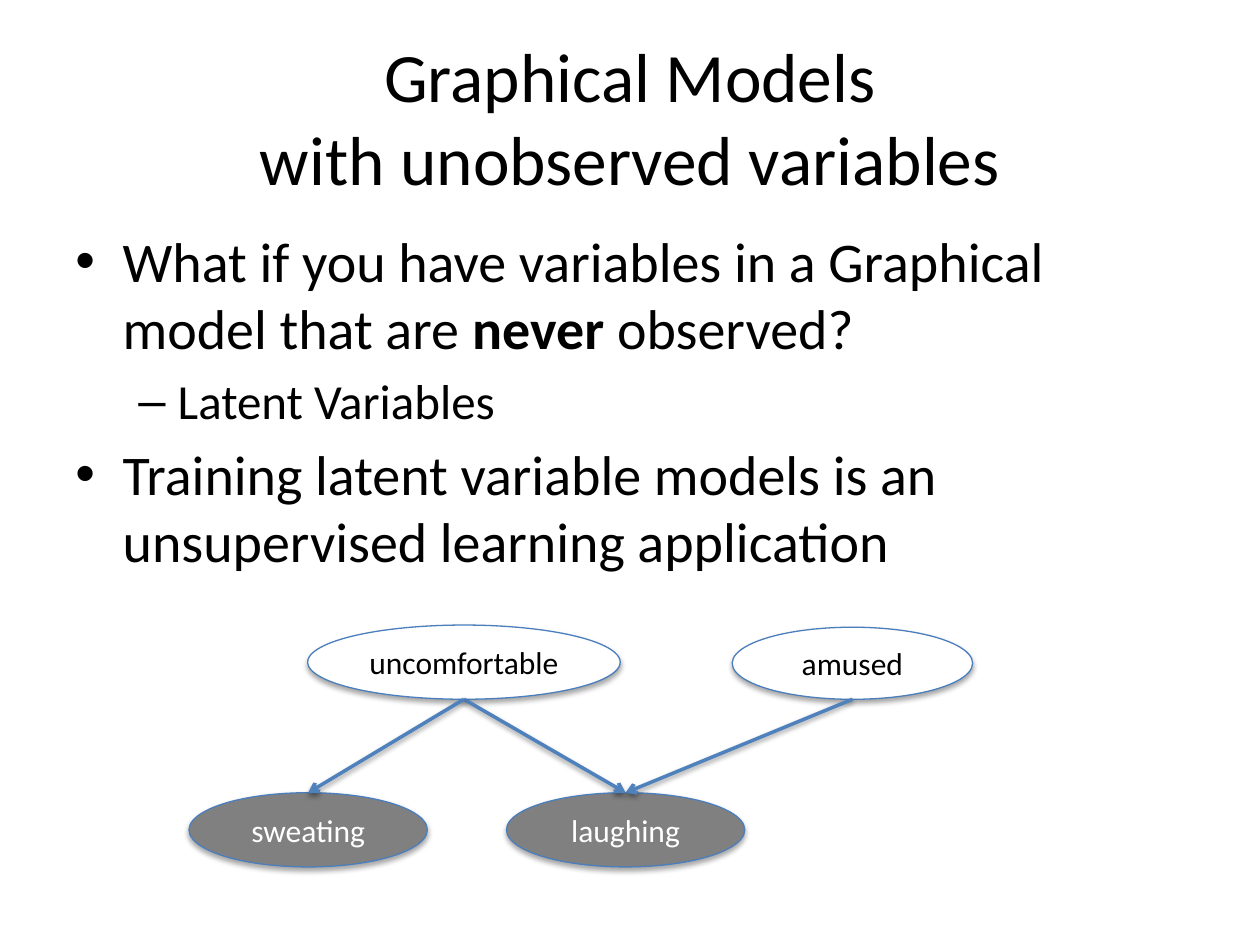
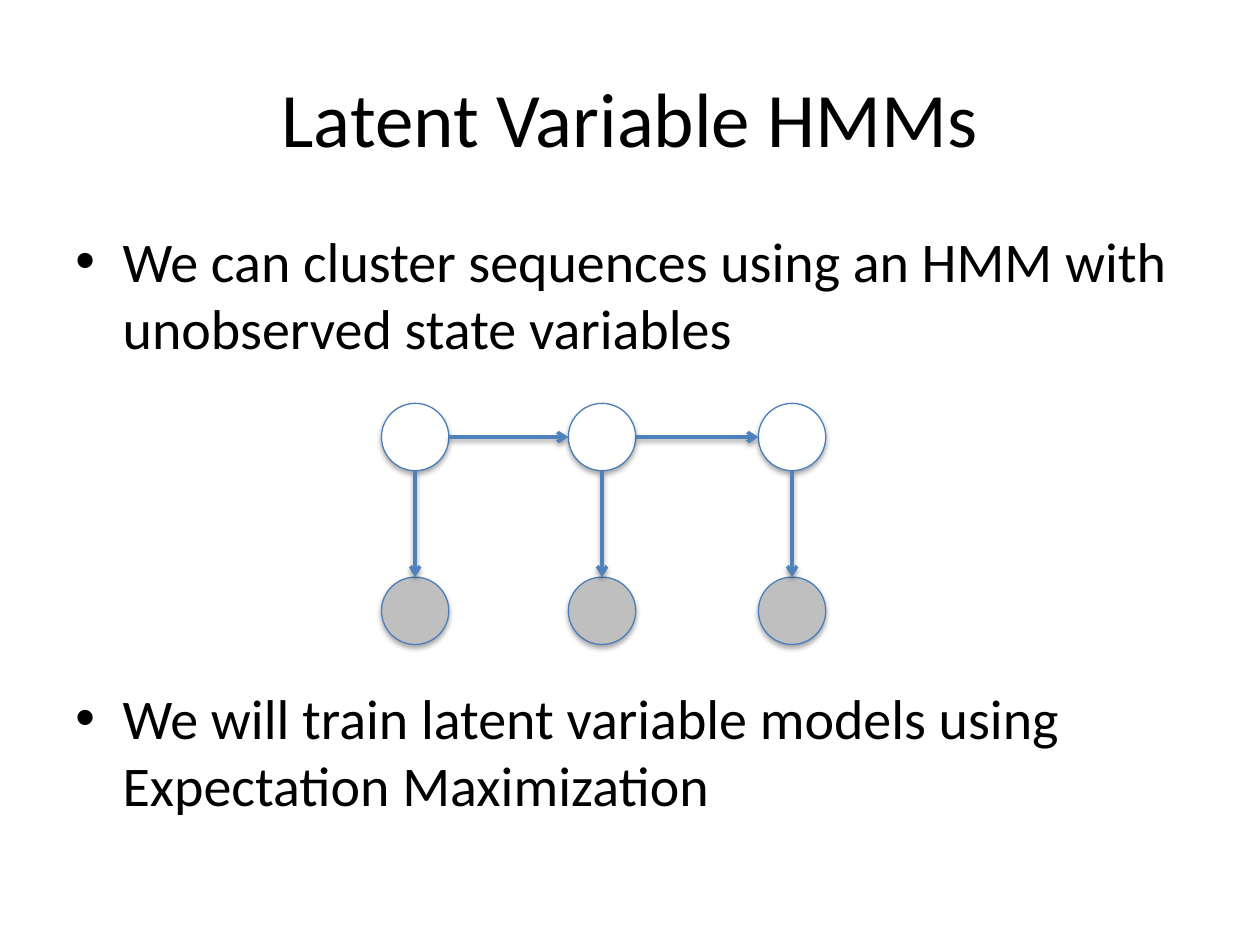
from dataclasses import dataclass

from lxml import etree
from pptx import Presentation
from pptx.dml.color import RGBColor
from pptx.enum.shapes import MSO_CONNECTOR, MSO_SHAPE
from pptx.enum.text import MSO_ANCHOR, PP_ALIGN
from pptx.oxml.ns import qn
from pptx.util import Pt

ELLIPSE = MSO_SHAPE.OVAL
STRAIGHT = MSO_CONNECTOR.STRAIGHT
CENTER, LEFT = PP_ALIGN.CENTER, PP_ALIGN.LEFT
MIDDLE, TOP = MSO_ANCHOR.MIDDLE, MSO_ANCHOR.TOP

FONT = "Calibri"
COLORS = {
    "text": "000000",
    "white": "FFFFFF",
    "outline": "4B7EBC",
    "arrow": "4F81BD",
    "observed": "808080",
    "emission": "BFBFBF",
    "shadow": "000000",
}


@dataclass
class Node:
    """An ellipse of a graphical model; lengths in points."""
    left: float
    top: float
    width: float
    height: float
    fill: str = "white"
    label: str = ""
    color: str = "text"

    def side(self, name: str) -> tuple[float, float]:
        fx, fy = {"top": (0.5, 0), "bottom": (0.5, 1),
                  "left": (0, 0.5), "right": (1, 0.5)}[name]
        return self.left + fx * self.width, self.top + fy * self.height


@dataclass
class Bullet:
    runs: list[tuple[str, bool]]  # text, bold
    level: int = 0
    before: float = 5.6


@dataclass
class BulletStyle:
    char: str
    margin: float
    hanging: float
    size: float


BULLET_STYLES = [BulletStyle("•", 27, 27, 32), BulletStyle("–", 58.5, 22.5, 28)]


def rgb(name: str) -> RGBColor:
    return RGBColor.from_string(COLORS[name])


def write(p, text: str, *, size: float, color: str = "text",
          bold: bool = False, align=LEFT) -> None:
    """Add formatted text to a paragraph; a newline breaks the line."""
    p.alignment = align
    for i, line in enumerate(text.split("\n")):
        if i:
            p.add_line_break()
        r = p.add_run()
        r.text = line
        r.font.name, r.font.size, r.font.bold = FONT, Pt(size), bold
        r.font.color.rgb = rgb(color)


def add_text_frame(s, top: float, height: float, anchor):
    tf = s.shapes.add_textbox(Pt(36), Pt(top), Pt(648), Pt(height)).text_frame
    tf.word_wrap = True
    tf.vertical_anchor = anchor
    return tf


def add_title(s, text: str, size: float) -> None:
    tf = add_text_frame(s, 21.6, 90, MIDDLE)
    write(tf.paragraphs[0], text, size=size, align=CENTER)


def add_bullets(s, bullets: list[Bullet]) -> None:
    tf = add_text_frame(s, 126, 356.4, TOP)
    for i, bullet in enumerate(bullets):
        p = tf.add_paragraph() if i else tf.paragraphs[0]
        style = BULLET_STYLES[bullet.level]
        for text, bold in bullet.runs:
            write(p, text, size=style.size, bold=bold)
        p.space_before = Pt(bullet.before)
        pPr = p._p.get_or_add_pPr()
        pPr.set("marL", str(Pt(style.margin)))
        pPr.set("indent", str(-Pt(style.hanging)))
        etree.SubElement(pPr, qn("a:buFont"), typeface="Arial")
        etree.SubElement(pPr, qn("a:buChar"), char=style.char)


def add_shadow(shape, opacity: int, distance: float) -> None:
    """Soft shadow falling straight down."""
    effects = etree.SubElement(shape._element.spPr, qn("a:effectLst"))
    shadow = etree.SubElement(
        effects, qn("a:outerShdw"), blurRad=str(Pt(3.1)),
        dist=str(Pt(distance)), dir="5400000", rotWithShape="0")
    clr = etree.SubElement(shadow, qn("a:srgbClr"), val=COLORS["shadow"])
    etree.SubElement(clr, qn("a:alpha"), val=str(opacity * 1000))


def add_node(shapes, node: Node) -> None:
    sp = shapes.add_shape(ELLIPSE, Pt(node.left), Pt(node.top),
                          Pt(node.width), Pt(node.height))
    sp.fill.solid()
    sp.fill.fore_color.rgb = rgb(node.fill)
    sp.line.color.rgb = rgb("outline")
    sp.line.width = Pt(0.75)
    add_shadow(sp, 35, 1.8)
    if node.label:
        tf = sp.text_frame
        tf.word_wrap = True
        tf.vertical_anchor = MIDDLE
        write(tf.paragraphs[0], node.label, size=18, color=node.color, align=CENTER)


def add_arrow(shapes, start: tuple[float, float], end: tuple[float, float]) -> None:
    points = [Pt(v) for v in (*start, *end)]
    line = shapes.add_connector(STRAIGHT, *points)
    line.line.color.rgb = rgb("arrow")
    line.line.width = Pt(2)
    etree.SubElement(line.line._get_or_add_ln(), qn("a:tailEnd"), type="arrow")
    add_shadow(line, 38, 1.6)


def build_unobserved_slide(s) -> None:
    add_title(s, "Graphical Models\nwith unobserved variables", 39.6)
    add_bullets(s, [
        Bullet([("What if you have variables in a Graphical model that are ", False),
                ("never ", True), ("observed?", False)]),
        Bullet([("Latent Variables", False)], level=1),
        Bullet([("Training latent variable models is an unsupervised "
                 "learning application", False)]),
    ])
    laughing = Node(289.4, 453, 136.2, 42.4, "observed", "laughing", "white")
    amused = Node(418.4, 358.4, 137.4, 41.2, label="amused")
    sweating = Node(108, 453, 136.2, 42.4, "observed", "sweating", "white")
    uncomfortable = Node(175.8, 357.2, 178.6, 42.4, label="uncomfortable")
    for node in (laughing, amused, sweating, uncomfortable):
        add_node(s.shapes, node)
    for cause, effect in ((amused, laughing), (uncomfortable, laughing),
                          (uncomfortable, sweating)):
        add_arrow(s.shapes, cause.side("bottom"), effect.side("top"))


def build_hmm_slide(s) -> None:
    add_title(s, "Latent Variable HMMs", 44)
    # The wide gap between the bullets holds the chain
    add_bullets(s, [
        Bullet([("We can cluster sequences using an HMM with unobserved "
                 "state variables", False)]),
        Bullet([("We will train latent variable models using "
                 "Expectation Maximization", False)], before=184.2),
    ])
    size = 38.5
    columns = (218, 324.8, 433.4)
    states = [Node(x, 230.5, size, size) for x in columns]
    emissions = [Node(x, 329.8, size, size, "emission") for x in columns]
    shapes = s.shapes.add_group_shape().shapes
    for state, emission in zip(states, emissions):
        add_node(shapes, state)
        add_node(shapes, emission)
    for state, emission in zip(states, emissions):
        add_arrow(shapes, state.side("bottom"), emission.side("top"))
    for state, following in zip(states, states[1:]):
        add_arrow(shapes, state.side("right"), following.side("left"))


def main() -> None:
    prs = Presentation()
    prs.slide_width, prs.slide_height = Pt(720), Pt(540)
    for build in (build_unobserved_slide, build_hmm_slide):
        build(prs.slides.add_slide(prs.slide_layouts[6]))
    prs.save("out.pptx")


if __name__ == "__main__":
    main()
